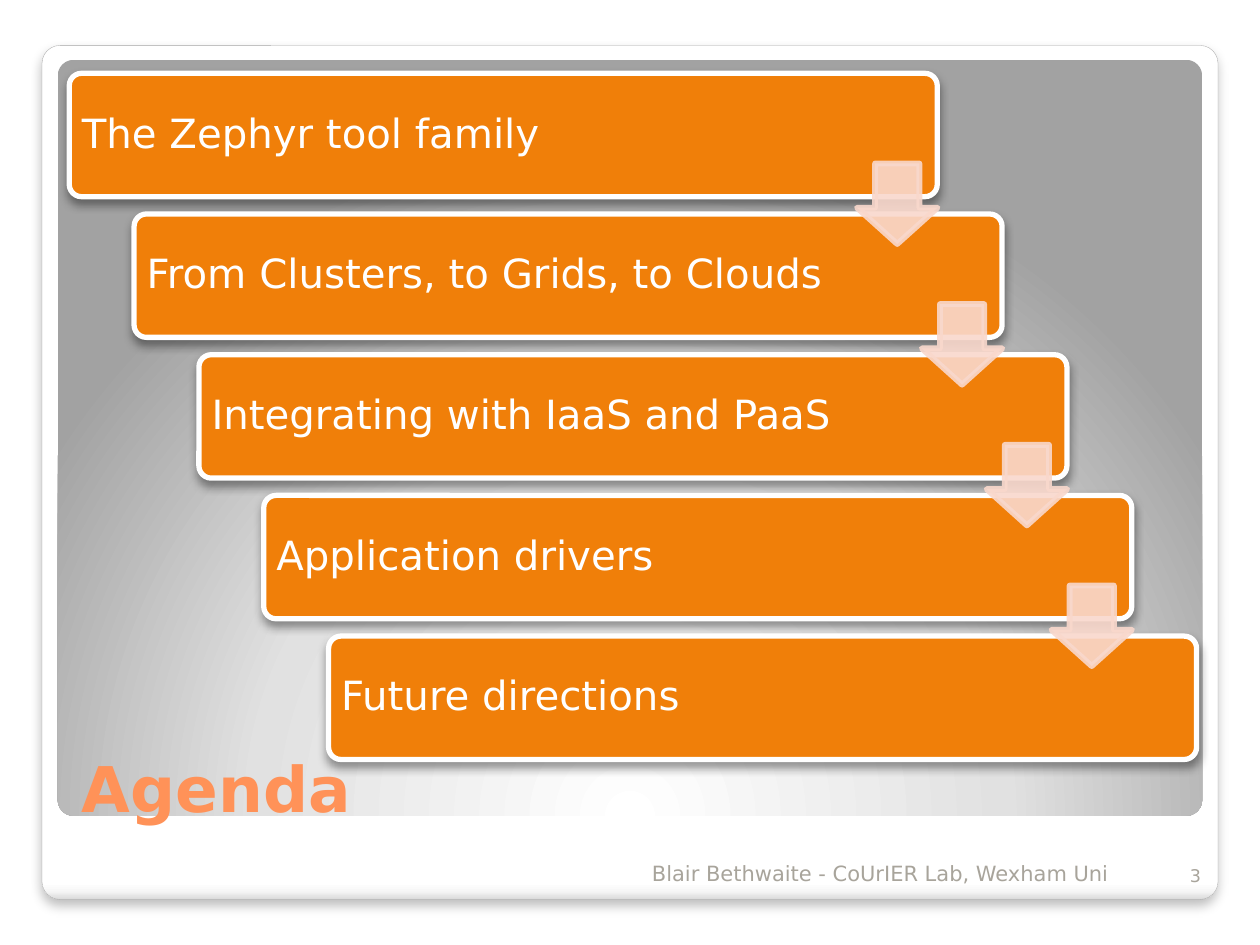
from lxml import etree
from pptx import Presentation
from pptx.dml.color import RGBColor
from pptx.enum.shapes import MSO_SHAPE
from pptx.enum.text import MSO_ANCHOR, MSO_AUTO_SIZE, PP_ALIGN
from pptx.oxml import parse_xml
from pptx.oxml.ns import qn
from pptx.util import Pt

ROUNDED, DOWN_ARROW = MSO_SHAPE.ROUNDED_RECTANGLE, MSO_SHAPE.DOWN_ARROW
LEFT, RIGHT = PP_ALIGN.LEFT, PP_ALIGN.RIGHT
MIDDLE, BOTTOM = MSO_ANCHOR.MIDDLE, MSO_ANCHOR.BOTTOM
NO_FIT = MSO_AUTO_SIZE.NONE
DRAWING_NS = "http://schemas.openxmlformats.org/drawingml/2006/main"

THEME = {
    "font": "DejaVu Sans",
    "title": "FF9258", "bar": "F07F09", "white": "FFFFFF",
    "arrow": "F9D8CC", "frame_line": "A4A4A4", "footer": "A8A49B",
    "frame_stops": [(0, "FFFFFF"), (98, "FFFFFF"), (99, "F7F7F7"), (100, "DADADA")],
    "panel_stops": [(0, "FFFFFF"), (55, "E1E1E1"), (100, "A2A2A2")],
    "title_size": 36, "bar_size": 23, "footer_size": 12, "number_size": 10,
}
DOWNWARD = '<a:lin ang="5400000" scaled="0"/>'
FROM_BELOW = ('<a:path path="circle"><a:fillToRect l="50000" t="175000" '
              'r="50000" b="-75000"/></a:path>')


def put_text(shape, text, size, color, bold=False, align=LEFT, anchor=BOTTOM,
             insets=(7.2, 3.6, 7.2, 3.6), spacing=1.0):
    frame = shape.text_frame
    frame.word_wrap = True
    frame.auto_size = NO_FIT
    frame.vertical_anchor = anchor
    frame.margin_left, frame.margin_top, frame.margin_right, frame.margin_bottom = map(Pt, insets)
    paragraph = frame.paragraphs[0]
    paragraph.alignment = align
    paragraph.line_spacing = spacing
    run = paragraph.add_run()
    run.text = text
    run.font.name = THEME["font"]
    run.font.size = Pt(size)
    run.font.bold = bold
    run.font.color.rgb = RGBColor.from_string(color)


def draw_shape(kind, box, adjustments, fill=None, stops=None, direction=DOWNWARD,
               line=None, line_width=0, opacity=100, shadow=None):
    shape = slide.shapes.add_shape(kind, *map(Pt, box))
    for index, value in enumerate(adjustments):
        shape.adjustments[index] = value
    if fill:
        shape.fill.solid()
        shape.fill.fore_color.rgb = RGBColor.from_string(fill)
    if line:
        shape.line.color.rgb = RGBColor.from_string(line)
        shape.line.width = Pt(line_width)
    else:
        shape.line.fill.background()
    properties = shape.element.spPr
    if opacity < 100:
        for color in properties.iter(qn("a:srgbClr")):
            etree.SubElement(color, qn("a:alpha"), val=str(opacity * 1000))
    if stops:
        stop_xml = "".join(f'<a:gs pos="{position * 1000}"><a:srgbClr val="{color}"/></a:gs>'
                           for position, color in stops)
        properties.find(qn("a:prstGeom")).addnext(parse_xml(
            f'<a:gradFill xmlns:a="{DRAWING_NS}" rotWithShape="1">'
            f'<a:gsLst>{stop_xml}</a:gsLst>{direction}</a:gradFill>'))
    shape.shadow.inherit = False
    if shadow:
        strength, blur, distance = shadow
        properties.find(qn("a:effectLst")).append(parse_xml(
            f'<a:outerShdw xmlns:a="{DRAWING_NS}" blurRad="{Pt(blur)}" dist="{Pt(distance)}" '
            f'dir="5400000" algn="t" rotWithShape="0"><a:srgbClr val="000000">'
            f'<a:alpha val="{strength * 1000}"/></a:srgbClr></a:outerShdw>'))
    return shape


presentation = Presentation()
presentation.slide_width, presentation.slide_height = Pt(720), Pt(540)
slide = presentation.slides.add_slide(presentation.slide_layouts[5])

# Title
title = slide.shapes.title
title.left, title.top, title.width, title.height = map(Pt, (39.6, 392.4, 644.4, 82.8))
put_text(title, "Agenda", THEME["title_size"], THEME["title"], bold=True)

# Frame and shaded panel, placed behind the title
frame_card = draw_shape(ROUNDED, (24, 26, 672, 488), [0.021], stops=THEME["frame_stops"],
                        line=THEME["frame_line"], line_width=0.16, shadow=(25, 6, 4))
panel = draw_shape(ROUNDED, (33, 34.2, 654, 432), [0.021], stops=THEME["panel_stops"],
                   direction=FROM_BELOW)
for backdrop in (frame_card, panel):
    title.element.addprevious(backdrop.element)

# Agenda steps, each one shifted right and down
topics = [
    "The Zephyr tool family",
    "From Clusters, to Grids, to Clouds",
    "Integrating with IaaS and PaaS",
    "Application drivers",
    "Future directions",
]
STEP_X, STEP_Y = 37.05, 80.4
for step, topic in enumerate(topics):
    bar = draw_shape(ROUNDED, (39.6 + step * STEP_X, 41.9 + step * STEP_Y, 496, 70.5), [0.1],
                     fill=THEME["bar"], line=THEME["white"], line_width=3, shadow=(40, 5.2, 3))
    put_text(bar, topic, THEME["bar_size"], THEME["white"], anchor=MIDDLE,
             insets=(5.2, 5.2, 80, 5.2), spacing=0.9)

# Arrows leading from each step to the next
for step in range(len(topics) - 1):
    draw_shape(DOWN_ARROW, (489.7 + step * STEP_X, 93.4 + step * STEP_Y, 46, 46), [0.55, 0.45],
               fill=THEME["arrow"], line=THEME["arrow"], line_width=3.35, opacity=90)

# Slide number and footer
number = slide.shapes.add_textbox(Pt(657.4), Pt(481), Pt(36), Pt(28.8))
put_text(number, "3", THEME["number_size"], THEME["footer"], align=RIGHT)
footer = slide.shapes.add_textbox(Pt(65.5), Pt(481), Pt(591.9), Pt(28.8))
put_text(footer, "Blair Bethwaite - CoUrIER Lab, Wexham Uni", THEME["footer_size"],
         THEME["footer"], align=RIGHT, insets=(7.2, 3.6, 23.8, 3.6))

presentation.save("out.pptx")
